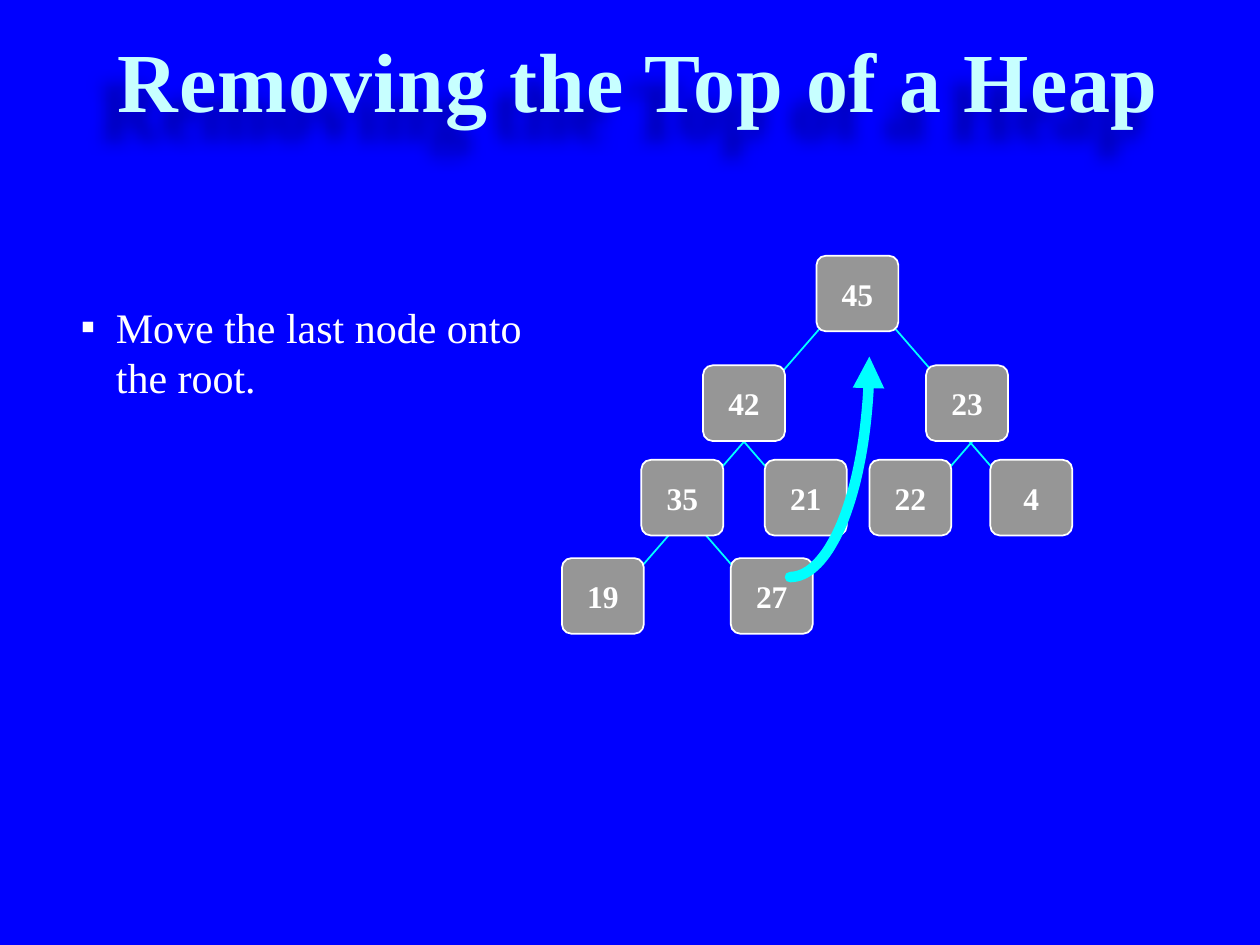
import math

from lxml import etree
from pptx import Presentation
from pptx.dml.color import RGBColor
from pptx.enum.shapes import MSO_CONNECTOR, MSO_SHAPE
from pptx.enum.text import MSO_ANCHOR, PP_ALIGN
from pptx.oxml.ns import qn
from pptx.util import Inches, Pt

LINE = MSO_CONNECTOR.STRAIGHT
ROUNDED = MSO_SHAPE.ROUNDED_RECTANGLE
MIDDLE = MSO_ANCHOR.MIDDLE
TOP = MSO_ANCHOR.TOP
CENTER = PP_ALIGN.CENTER
LEFT = PP_ALIGN.LEFT

FONT = "Times New Roman"
COLORS = {
    "background": "0000FF",
    "title": "C7FFFF",
    "text": "FFFFFF",
    "node": "969696",
    "edge": "00FFFF",
    "shadow": "000000",
}
NODE_W, NODE_H = 0.65, 0.6
EDGE_DX, EDGE_DY = 0.46, 0.53
LEVELS = [
    (0, [("45", 2.02)]),
    (0.87, [("42", 1.12), ("23", 2.89)]),
    (1.62, [("35", 0.63), ("21", 1.61), ("22", 2.44), ("4", 3.4)]),
    (2.4, [("19", 0), ("27", 1.34)]),
]
EDGE_PAIRS = [
    (2.07, 2.62, 0.55),
    (1.58, 1.31, 1.32),
    (3.39, 3.1, 1.32),
    (0.95, 1.04, 2.1),
]


def rgb(name):
    return RGBColor.from_string(COLORS[name])


def add_xml(parent, tag, **attrs):
    return etree.SubElement(parent, qn(tag), attrs)


def write_text(sp, text, size, color, bold=False, align=LEFT, anchor=TOP, wrap=True):
    tf = sp.text_frame
    tf.text = text
    tf.word_wrap = wrap
    tf.vertical_anchor = anchor
    tf.margin_left = tf.margin_right = Inches(0.07)
    tf.margin_top = tf.margin_bottom = Inches(0.04)
    p = tf.paragraphs[0]
    p.alignment = align
    font = p.runs[0].font
    font.name, font.size, font.bold = FONT, Pt(size), bold
    font.color.rgb = rgb(color)
    return p


def add_title(slide, x, y, w, h):
    sp = slide.shapes.add_textbox(Inches(x), Inches(y), Inches(w), Inches(h))
    p = write_text(sp, "Removing the Top of a Heap", 48, "title", True, CENTER, MIDDLE)
    p.runs[0].font._element.set("spc", "50")
    effects = add_xml(sp._element.spPr, "a:effectLst")
    shadow = add_xml(effects, "a:outerShdw", blurRad=str(Inches(0.14)),
                     dist=str(Inches(0.25)), dir="7500000", algn="tl", rotWithShape="0")
    color = add_xml(shadow, "a:srgbClr", val=COLORS["shadow"])
    add_xml(color, "a:alpha", val="35000")


def add_bullet(slide, x, y, w, h):
    sp = slide.shapes.add_textbox(Inches(x), Inches(y), Inches(w), Inches(h))
    p = write_text(sp, "Move the last node onto the root.", 24, "text")
    pPr = p._p.get_or_add_pPr()
    pPr.set("marL", str(Inches(0.28)))
    pPr.set("indent", str(-Inches(0.28)))
    add_xml(pPr, "a:buFont", typeface=FONT)
    add_xml(pPr, "a:buChar", char="▪")


def add_edge(slide, x, y, dx):
    s = slide.shapes.add_connector(LINE, Inches(x), Inches(y),
                                   Inches(x + dx), Inches(y + EDGE_DY))
    s.line.color.rgb = rgb("edge")
    s.line.width = Pt(1)
    add_xml(s._element.spPr, "a:effectLst")


def add_node(slide, x, y, value):
    s = slide.shapes.add_shape(ROUNDED, Inches(x), Inches(y), Inches(NODE_W), Inches(NODE_H))
    s.adjustments[0] = 0.125
    s.shadow.inherit = False
    s.fill.solid()
    s.fill.fore_color.rgb = rgb("node")
    s.line.color.rgb = rgb("text")
    s.line.width = Pt(1)
    write_text(s, value, 18, "text", True, CENTER, MIDDLE, wrap=False)


def add_heap(slide, x, y):
    for left_x, right_x, edge_y in EDGE_PAIRS:
        add_edge(slide, x + left_x, y + edge_y, -EDGE_DX)
        add_edge(slide, x + right_x, y + edge_y, EDGE_DX)
    for level_y, nodes in LEVELS:
        for value, node_x in nodes:
            add_node(slide, x + node_x, y + level_y, value)


def add_move_arrow(slide, x, y, w, h, steps=40):
    angles = [math.pi / 2 * i / steps for i in range(steps + 1)]
    points = [(Inches(x + w * math.cos(a)), Inches(y + h * math.sin(a))) for a in angles]
    builder = slide.shapes.build_freeform(*points[0])
    builder.add_line_segments(points[1:], close=False)
    s = builder.convert_to_shape()
    s.shadow.inherit = False
    s.fill.background()
    s.line.color.rgb = rgb("edge")
    s.line.width = Pt(6)
    ln = s.line._get_or_add_ln()
    ln.set("cap", "rnd")
    add_xml(ln, "a:round")
    add_xml(ln, "a:headEnd", type="triangle")


def main():
    prs = Presentation()
    prs.slide_width, prs.slide_height = Inches(10), Inches(7.5)
    slide = prs.slides.add_slide(prs.slide_layouts[6])
    slide.background.fill.solid()
    slide.background.fill.fore_color.rgb = rgb("background")
    add_title(slide, 0.67, 0.16, 8.8, 0.94)
    add_bullet(slide, 0.57, 2.35, 3.83, 1.3)
    add_heap(slide, 4.46, 2.03)
    add_move_arrow(slide, 6.27, 2.83, 0.63, 1.75)
    prs.save("out.pptx")


if __name__ == "__main__":
    main()
